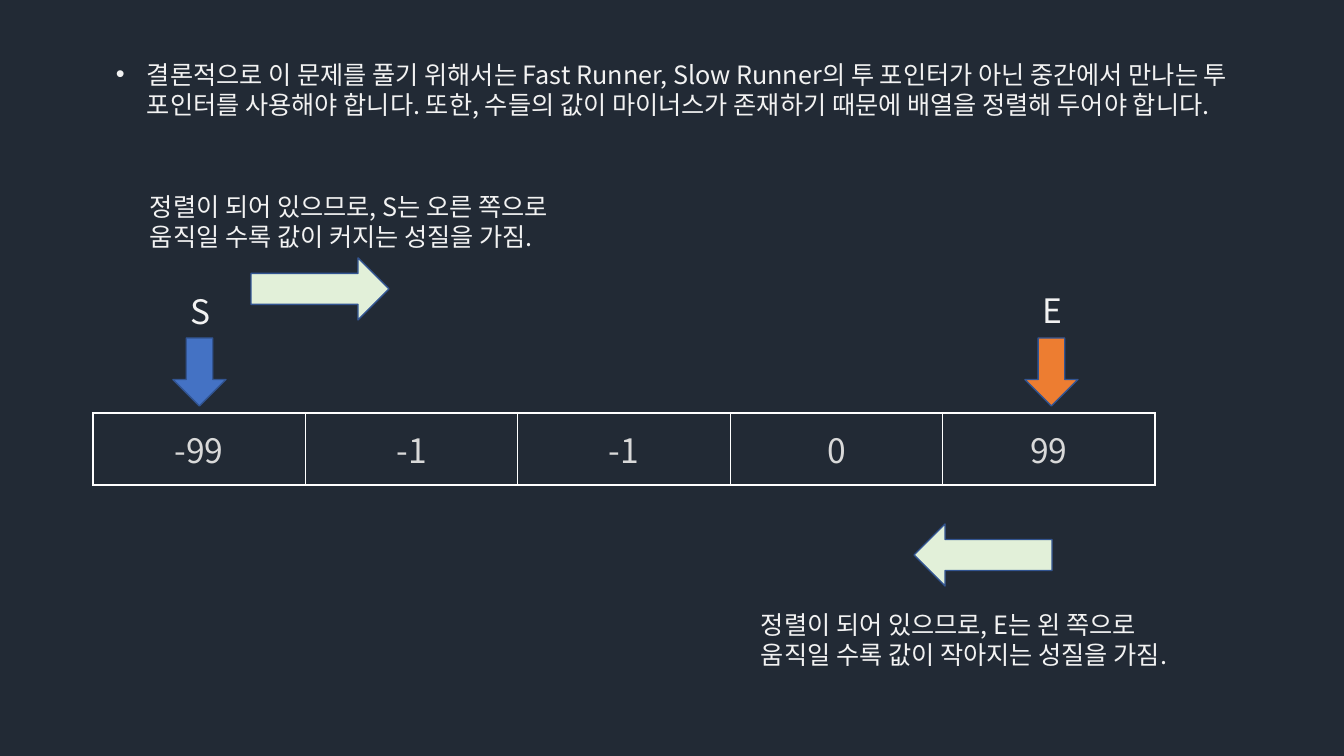
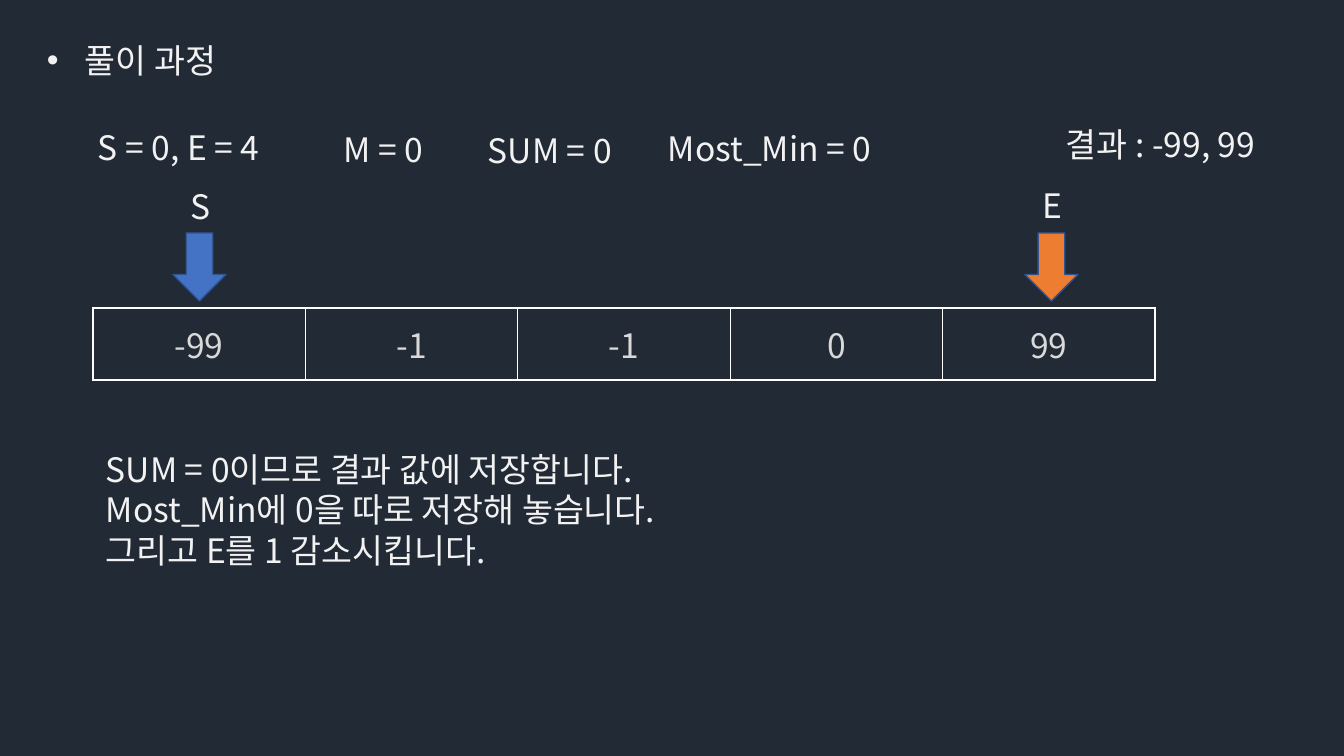
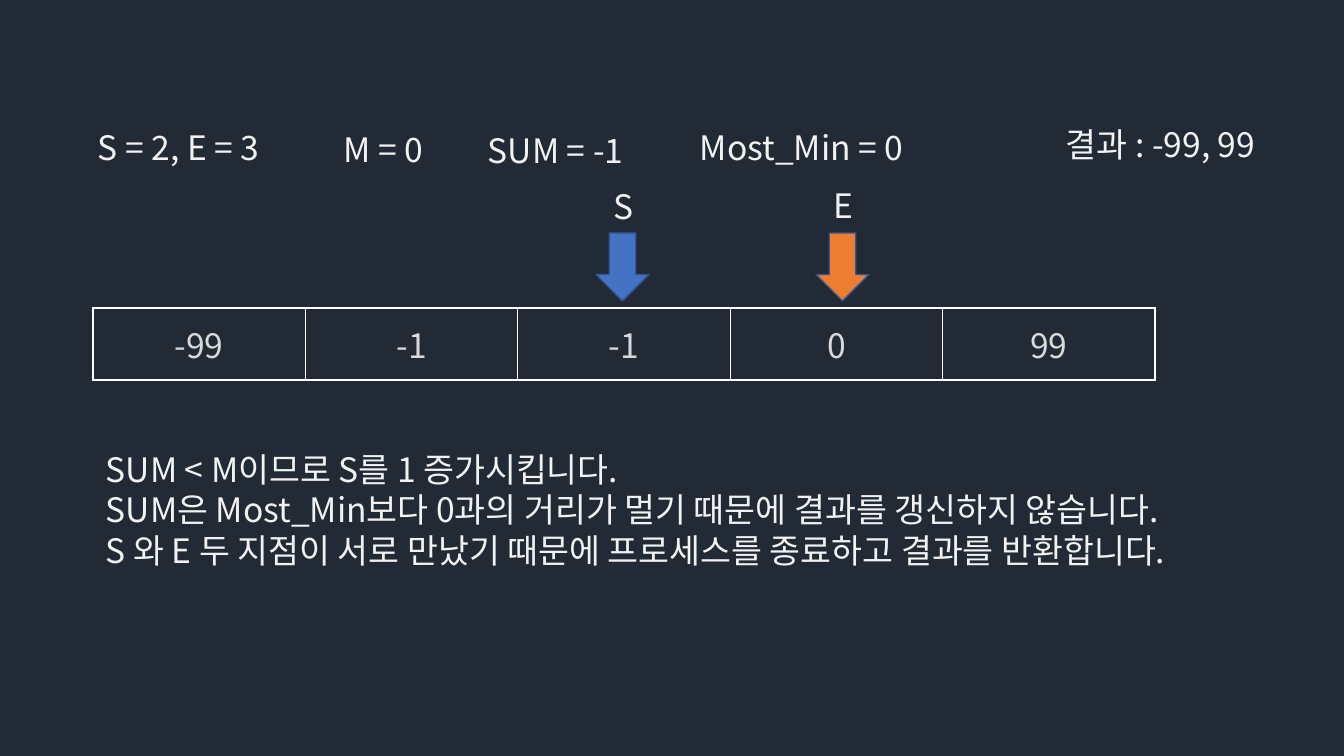
from lxml import etree
from pptx import Presentation
from pptx.dml.color import RGBColor
from pptx.enum import shapes, text
from pptx.oxml import ns
from pptx.util import Emu, Pt

# Scale and shared style
PX = 914400 / 100.8
SLIDE_W, SLIDE_H = 1344, 756
FONT = "Noto Sans CJK KR"
NAVY = RGBColor(0x22, 0x2A, 0x35)
OFF_WHITE = RGBColor(0xF2, 0xF2, 0xF2)
GREY = RGBColor(0xD9, 0xD9, 0xD9)
BLUE = RGBColor(0x44, 0x72, 0xC4)
ORANGE = RGBColor(0xED, 0x7D, 0x31)
MINT = RGBColor(0xE2, 0xF0, 0xD9)
OUTLINE = RGBColor(0x32, 0x54, 0x91)
DOWN = shapes.MSO_SHAPE.DOWN_ARROW
RIGHT = shapes.MSO_SHAPE.RIGHT_ARROW

VALUES = ["-99", "-1", "-1", "0", "99"]
ARRAY_LEFT, ARRAY_W, ARRAY_H = 93, 1062, 72
POINTER_W, POINTER_H = 53, 68


def px(*lengths):
    return [Emu(round(n * PX)) for n in lengths]


def add_xml(parent, tag, **attrs):
    return etree.SubElement(parent, ns.qn(tag), attrs)


def write(p, content, size, color=OFF_WHITE):
    r = p.add_run()
    r.text = content
    for name, value in {"size": Pt(size), "name": FONT}.items():
        setattr(r.font, name, value)
    r.font.color.rgb = color
    add_xml(r.font._element, "a:ea", typeface=FONT)


def add_text(slide, box, lines, size=24, hanging=0):
    """Text box with one paragraph per line; hanging is the bullet indent."""
    tf = slide.shapes.add_textbox(*px(*box)).text_frame
    tf.word_wrap = True
    for i, line in enumerate(lines):
        p = tf.paragraphs[0] if i == 0 else tf.add_paragraph()
        if hanging:
            indent = px(hanging)[0]
            pPr = p._p.get_or_add_pPr()
            pPr.set("marL", str(indent))
            pPr.set("indent", str(-indent))
            add_xml(pPr, "a:buFont", typeface="Arial")
            add_xml(pPr, "a:buChar", char="•")
        write(p, line, size)


def add_arrow(slide, kind, box, color, rotation=0):
    sp = slide.shapes.add_shape(kind, *px(*box))
    sp.shadow.inherit = False
    sp.rotation = rotation
    sp.fill.solid()
    sp.fill.fore_color.rgb = color
    sp.line.color.rgb = OUTLINE
    sp.line.width = Pt(1)


def add_array(slide, top):
    """One-row table holding the sorted values."""
    box = px(ARRAY_LEFT, top, ARRAY_W, ARRAY_H)
    table = slide.shapes.add_table(1, len(VALUES), *box).table
    for name in ("first_row", "horz_banding"):
        setattr(table, name, False)
    for cell, value in zip(table.rows[0].cells, VALUES):
        cell.vertical_anchor = text.MSO_ANCHOR.MIDDLE
        p = cell.text_frame.paragraphs[0]
        p.alignment = text.PP_ALIGN.CENTER
        write(p, value, 24, GREY)
        tcPr = cell._tc.get_or_add_tcPr()
        for side in "LRTB":
            ln = add_xml(tcPr, f"a:ln{side}", w=str(Pt(1)))
            fill = add_xml(ln, "a:solidFill")
            add_xml(fill, "a:srgbClr", val="FFFFFF")
        cell.fill.background()


def add_pointers(slide, array_top, s_left, e_left):
    """Labelled S and E arrows standing above the array."""
    for label, left, color in (("S", s_left, BLUE), ("E", e_left, ORANGE)):
        add_arrow(slide, DOWN, (left, array_top - 75, POINTER_W, POINTER_H), color)
        label_top = array_top - (127 if label == "S" else 128)
        add_text(slide, (left + 8, label_top, 39, 50), [label])


def add_direction(slide, note_box, note, arrow_at, rotation=0):
    """Note and block arrow telling which way a pointer moves."""
    add_text(slide, note_box, [note], size=18)
    add_arrow(slide, RIGHT, (*arrow_at, 138, 62), MINT, rotation)


def add_status(slide, entries):
    """Row of variable values: left, top, width and wording of each."""
    for left, top, width, content in entries:
        add_text(slide, (left, top, width, 50), [content])


def idea_slide(slide):
    top = 413
    add_text(slide, (106, 54, 1174, 72), [
        "결론적으로 이 문제를 풀기 위해서는 Fast Runner, Slow Runner의 투 포인터가 아닌 "
        "중간에서 만나는 투 포인터를 사용해야 합니다. 또한, 수들의 값이 마이너스가 "
        "존재하기 때문에 배열을 정렬해 두어야 합니다."], size=18, hanging=31)
    add_array(slide, top)
    add_pointers(slide, top, 173, 1025)
    add_direction(slide, (140, top - 227, 465, 72),
                  "정렬이 되어 있으므로, S는 오른 쪽으로 움직일 수록 값이 커지는 성질을 가짐.",
                  (251, top - 155))
    add_direction(slide, (751, top + 191, 465, 72),
                  "정렬이 되어 있으므로, E는 왼 쪽으로 움직일 수록 값이 작아지는 성질을 가짐.",
                  (914, top + 111), 180)


def step_slide(slide, status, pointers, explanation):
    top = 308
    add_array(slide, top)
    add_pointers(slide, top, *pointers)
    add_status(slide, [*status, (334, 124, 175, "M = 0"),
                       (1056, 119, 234, "결과 : -99, 99")])
    add_text(slide, (96, top + 136, 1098, 132), explanation)


def main():
    prs = Presentation()
    prs.slide_width, prs.slide_height = px(SLIDE_W, SLIDE_H)
    background = prs.slide_master.background.fill
    background.solid()
    background.fore_color.rgb = NAVY
    blank = prs.slide_layouts[6]

    # Idea: two pointers that meet in the middle
    idea_slide(prs.slides.add_slide(blank))

    # First step
    first = prs.slides.add_slide(blank)
    add_text(first, (37, 35, 265, 50), ["풀이 과정"], hanging=38)
    step_slide(first,
               [(88, 122, 265, "S = 0, E = 4"), (478, 125, 175, "SUM = 0"),
                (658, 123, 282, "Most_Min = 0")],
               (173, 1025),
               ["SUM = 0이므로 결과 값에 저장합니다.",
                "Most_Min에 0을 따로 저장해 놓습니다.",
                "그리고 E를 1 감소시킵니다."])

    # Last step
    step_slide(prs.slides.add_slide(blank),
               [(88, 122, 265, "S = 2, E = 3"), (478, 125, 194, "SUM = -1"),
                (690, 122, 282, "Most_Min = 0")],
               (596, 816),
               ["SUM < M이므로 S를 1 증가시킵니다.",
                "SUM은 Most_Min보다 0과의 거리가 멀기 때문에 결과를 갱신하지 않습니다.",
                "S 와 E 두 지점이 서로 만났기 때문에 프로세스를 종료하고 결과를 반환합니다."])

    prs.save("out.pptx")


if __name__ == "__main__":
    main()
